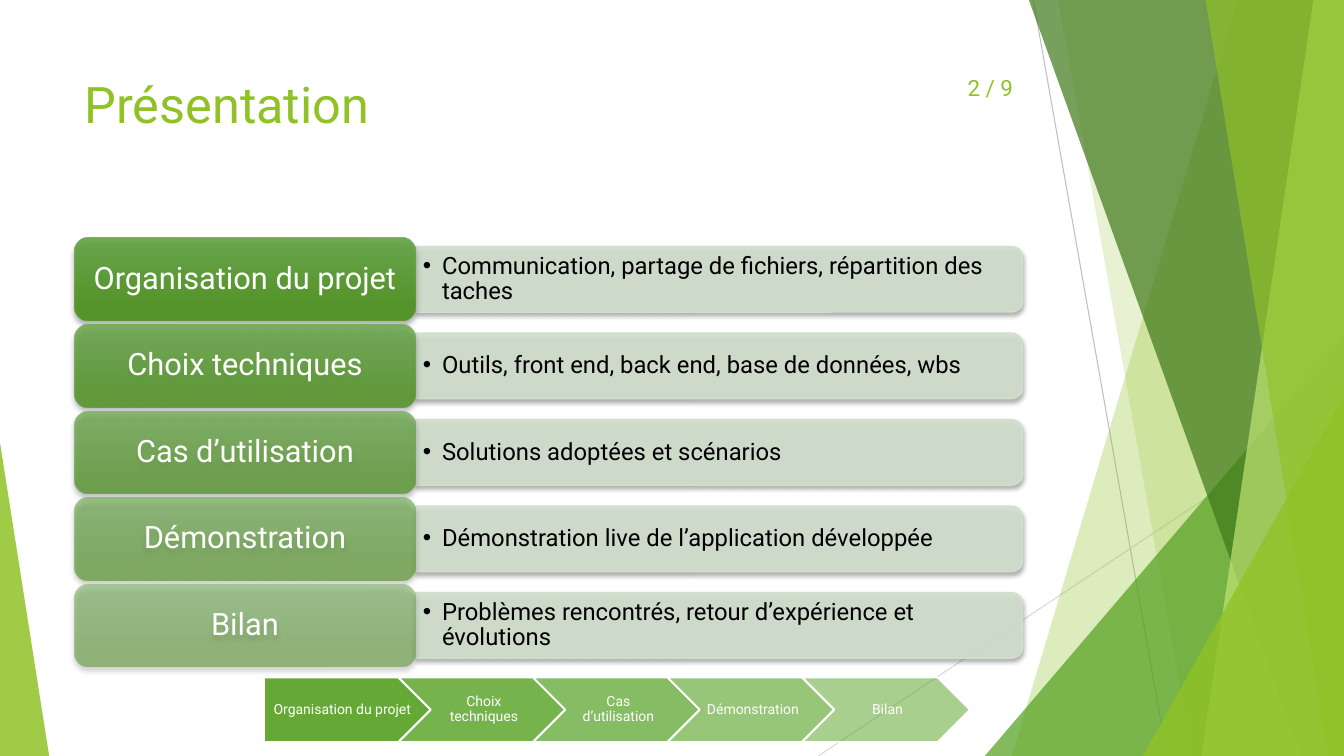
from dataclasses import dataclass

from lxml.etree import SubElement
from pptx import Presentation
from pptx.dml.color import RGBColor
from pptx.enum.shapes import MSO_CONNECTOR, MSO_SHAPE
from pptx.enum.text import MSO_ANCHOR, PP_ALIGN
from pptx.oxml.ns import qn
from pptx.util import Cm, Pt

WIDE, HIGH = 33.87, 19.05
FONT = "Roboto"
LIME, GREEN, WHITE, BLACK = "90C226", "54A021", "FFFFFF", "000000"
PALE = "D1DFCD"


@dataclass
class Facet:
    top: float
    foot: float
    color: str
    alpha: int


@dataclass
class Wedge:
    left: float
    top: float
    width: float
    peak: float
    color: str
    alpha: int


@dataclass
class Ray:
    start: tuple[float, float]
    end: tuple[float, float]
    color: str


@dataclass
class Topic:
    name: str
    detail: str


RAYS = [
    Ray((26.04, 0), (29.41, HIGH), "BFBFBF"),
    Ray((WIDE, 10.24), (20.62, HIGH), "D9D9D9"),
]
DECOR = [
    Facet(31.19, 25.5, LIME, 30),
    Facet(26.67, 30.05, LIME, 20),
    Wedge(24.82, 8.46, 9.05, 1, GREEN, 72),
    Facet(25.93, 32.79, "3F7819", 70),
    Facet(33.1, 30.28, "C0E474", 70),
    Facet(30.38, 33.48, LIME, 65),
    Wedge(28.8, 9.98, 5.07, 1, LIME, 80),
    Wedge(0, 11.15, 1.24, 0, LIME, 85),
]
TOPICS = [
    Topic("Organisation du projet", "Communication, partage de fichiers, répartition des taches"),
    Topic("Choix techniques", "Outils, front end, back end, base de données, wbs"),
    Topic("Cas d’utilisation", "Solutions adoptées et scénarios"),
    Topic("Démonstration", "Démonstration live de l’application développée"),
    Topic("Bilan", "Problèmes rencontrés, retour d’expérience et évolutions"),
]


def paint(target, color: str) -> None:
    target.rgb = RGBColor.from_string(color)


def fade(shape, alpha: int) -> None:
    for tone in shape._element.spPr.iter(qn("a:srgbClr")):
        SubElement(tone, qn("a:alpha"), val=str(alpha * 1000))


def coat(shape, color: str, alpha: int) -> None:
    shape.shadow.inherit = False
    shape.fill.solid()
    paint(shape.fill.fore_color, color)
    shape.line.fill.background()
    fade(shape, alpha)


def edge(shape, color: str, width: float) -> None:
    paint(shape.line.color, color)
    shape.line.width = Pt(width)


def shade(shape, blur: float, drop: float) -> None:
    shape.shadow.inherit = False
    glow = SubElement(
        shape._element.spPr.find(qn("a:effectLst")), qn("a:outerShdw"),
        blurRad=str(Pt(blur)), dist=str(Pt(drop)), dir="5400000", rotWithShape="0",
    )
    tone = SubElement(glow, qn("a:srgbClr"), val=BLACK)
    SubElement(tone, qn("a:alpha"), val="35000")


def place(shapes, kind: MSO_SHAPE, left: float, top: float, width: float, height: float):
    return shapes.add_shape(kind, Cm(left), Cm(top), Cm(width), Cm(height))


def write(shape, text: str, size: int, color: str, align=PP_ALIGN.CENTER,
          anchor=MSO_ANCHOR.MIDDLE, pads=(0.25, 0.13, 0.25, 0.13), space=0.9):
    frame = shape.text_frame
    frame.word_wrap = True
    frame.vertical_anchor = anchor
    frame.margin_left, frame.margin_top, frame.margin_right, frame.margin_bottom = map(Cm, pads)
    para = frame.paragraphs[0]
    para.alignment = align
    para.line_spacing = space
    run = para.add_run()
    run.text = text
    run.font.name = FONT
    run.font.size = Pt(size)
    paint(run.font.color, color)
    return para


def draw_ray(shapes, ray: Ray) -> None:
    line = shapes.add_connector(MSO_CONNECTOR.STRAIGHT, *map(Cm, ray.start + ray.end))
    edge(line, ray.color, 0.75)
    SubElement(line._element.spPr, qn("a:effectLst"))


def draw_facet(shapes, facet: Facet) -> None:
    pen = shapes.build_freeform(Cm(facet.top), 0)
    rest = [(WIDE, 0), (WIDE, HIGH), (facet.foot, HIGH)]
    pen.add_line_segments([(Cm(x), Cm(y)) for x, y in rest], close=True)
    coat(pen.convert_to_shape(), facet.color, facet.alpha)


def draw_wedge(shapes, wedge: Wedge) -> None:
    shape = place(shapes, MSO_SHAPE.ISOSCELES_TRIANGLE,
                  wedge.left, wedge.top, wedge.width, HIGH - wedge.top)
    shape.adjustments[0] = wedge.peak
    coat(shape, wedge.color, wedge.alpha)


def draw_topic(shapes, topic: Topic, top: float, alpha: int) -> None:
    mid = top + 1.04
    left, long, thick = 10.48, 15.29, 1.65
    bar = place(shapes, MSO_SHAPE.ROUND_2_SAME_RECTANGLE,
                left + (long - thick) / 2, mid - long / 2, thick, long)
    bar.rotation = 90
    coat(bar, PALE, 90)
    edge(bar, PALE, 1)
    shade(bar, 3, 2)

    note = shapes.add_textbox(Cm(left), Cm(mid - 0.75), Cm(15.19), Cm(1.5))
    para = write(note, topic.detail, 17, BLACK, PP_ALIGN.LEFT, pads=(0.18, 0.1, 0.18, 0.1))
    props = para._p.get_or_add_pPr()
    props.set("marL", str(Cm(0.48)))
    props.set("indent", str(Cm(-0.48)))
    SubElement(props, qn("a:buFont"), typeface="Arial")
    SubElement(props, qn("a:buChar"), char="•")

    label = place(shapes, MSO_SHAPE.ROUNDED_RECTANGLE, 1.88, top, 8.59, 2.08)
    label.fill.gradient()
    label.fill.gradient_angle = 270
    for stop, spot, color in zip(label.fill.gradient_stops, (0, 0.78), ("63A545", "4D921E")):
        stop.position = spot
        paint(stop.color, color)
    fade(label, alpha)
    label.line.fill.background()
    shade(label, 4, 3)
    write(label, topic.name, 22, WHITE, pads=(0.23, 0.13, 0.23, 0.13))


def draw_step(shapes, topic: Topic, rank: int, alpha: int) -> None:
    kind = MSO_SHAPE.CHEVRON if rank else MSO_SHAPE.PENTAGON
    step = place(shapes, kind, 6.65 + 3.39 * rank, 17.07, 4.24, 1.63)
    coat(step, GREEN, alpha)
    edge(step, WHITE, 1.5)
    write(step, topic.name, 10, WHITE, pads=(0.1 if rank else 0.15, 0.08, 0.03, 0.08))


def main() -> None:
    deck = Presentation()
    deck.slide_width, deck.slide_height = Cm(WIDE), Cm(HIGH)
    slide = deck.slides.add_slide(deck.slide_layouts[5])
    shapes = slide.shapes

    title = shapes.title
    title.left, title.top, title.width, title.height = map(Cm, (1.88, 1.7, 23.88, 3.66))
    write(title, "Présentation", 36, LIME, PP_ALIGN.LEFT, MSO_ANCHOR.TOP, space=1)

    for ray in RAYS:
        draw_ray(shapes, ray)
    for part in DECOR:
        if isinstance(part, Facet):
            draw_facet(shapes, part)
        else:
            draw_wedge(shapes, part)
    for rank, topic in enumerate(TOPICS):
        draw_topic(shapes, topic, 6 + 2.18 * rank, 90 - 10 * rank)

    page = shapes.add_textbox(Cm(22.96), Cm(1.7), Cm(2.82), Cm(1.02))
    write(page, "2 / 9", 16, LIME, PP_ALIGN.RIGHT, space=1)
    for rank, topic in enumerate(TOPICS):
        draw_step(shapes, topic, rank, 90 - 10 * rank)

    deck.save("out.pptx")


if __name__ == "__main__":
    main()
